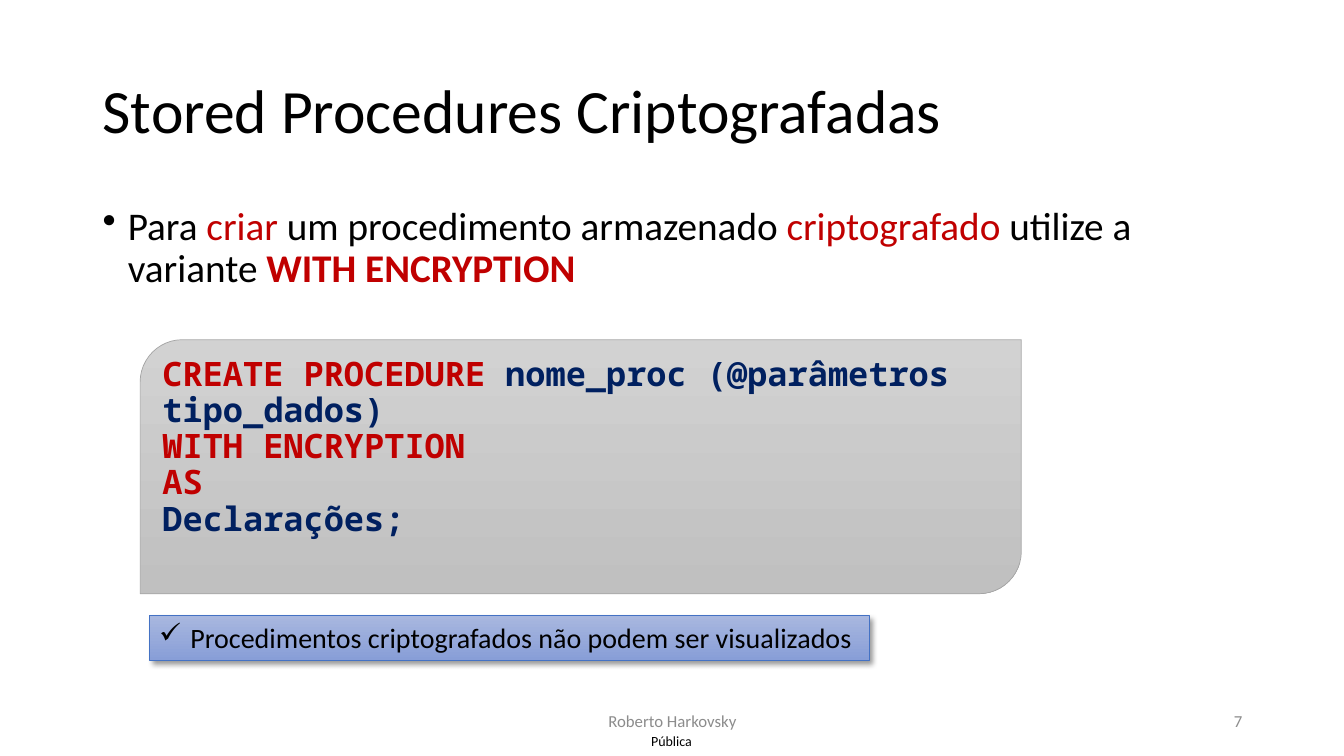
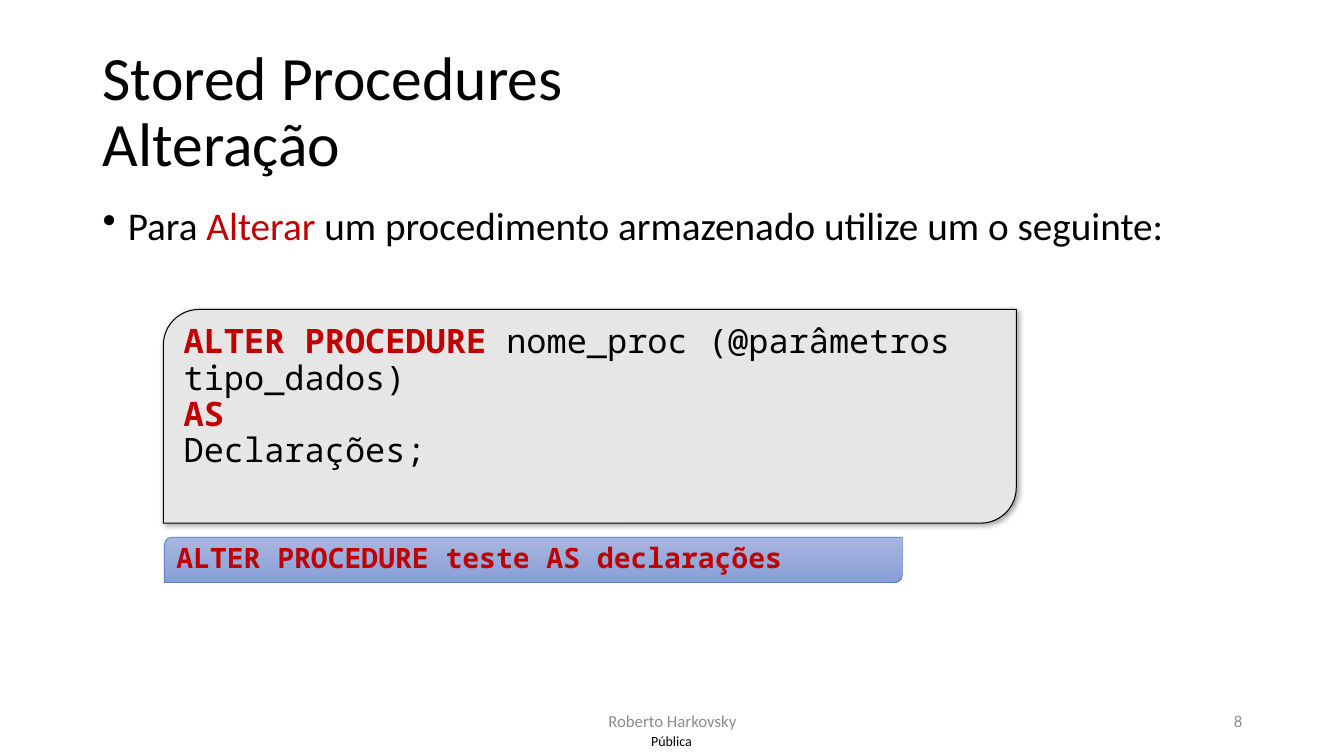
import pptx
import pptx.util
import pptx.dml.color
import pptx.enum.shapes
import pptx.enum.text
import pptx.oxml
import pptx.oxml.ns

Inches, Pt = pptx.util.Inches, pptx.util.Pt
RGBColor = pptx.dml.color.RGBColor
SHAPE = pptx.enum.shapes.MSO_SHAPE
ALIGN = pptx.enum.text.PP_ALIGN
ANCHOR = pptx.enum.text.MSO_ANCHOR

BLACK = RGBColor(0x00, 0x00, 0x00)
RED = RGBColor(0xC0, 0x00, 0x00)
NAVY = RGBColor(0x00, 0x20, 0x60)
GRAY = RGBColor(0x8C, 0x8C, 0x8C)
LIGHT_GRAY = RGBColor(0xE7, 0xE6, 0xE6)
EDGE_GRAY = RGBColor(0xA5, 0xA5, 0xA5)
EDGE_BLUE = RGBColor(0x44, 0x72, 0xC4)
GRAY_FADE = (RGBColor(0xD2, 0xD2, 0xD2), RGBColor(0xC0, 0xC0, 0xC0))
BLUE_FADE = (RGBColor(0xA8, 0xB7, 0xDF), RGBColor(0x88, 0x9E, 0xD7))

SANS, MONO = "Calibri", "Noto Sans Mono"


class Deck:
    """Holds the shared style and the slide being filled."""

    def __init__(self):
        self.prs = pptx.Presentation()
        self.prs.slide_width = Inches(13.33)
        self.prs.slide_height = Inches(7.5)
        self.s = None

    def slide(self, title, number):
        self.s = self.prs.slides.add_slide(self.prs.slide_layouts[6])
        self.text((6.31, 7.21, 0.7, 0.29), "Pública", 10, BLACK,
                  {"alignment": ALIGN.CENTER}, margin=0)
        self.text((0.92, 0.4, 11.5, 1.45), title, 44, BLACK, {"line_spacing": 0.9})
        self.text((4.42, 6.95, 4.5, 0.4), "Roberto Harkovsky", 12, GRAY,
                  {"alignment": ALIGN.CENTER})
        self.text((9.42, 6.95, 3, 0.4), str(number), 12, GRAY,
                  {"alignment": ALIGN.RIGHT})

    def box(self, at):
        return self.s.shapes.add_textbox(*map(Inches, at))

    def text(self, at, text, size, color, fmt, margin=None):
        """Add one vertically centred paragraph."""
        tf = self.box(at).text_frame
        tf.vertical_anchor = ANCHOR.MIDDLE
        if margin is not None:
            for side in ("left", "right", "top", "bottom"):
                setattr(tf, f"margin_{side}", Inches(margin))
        self.fill_text(tf, [[(text, color, False)]], SANS, size, fmt)

    def body(self, runs, height):
        tf = self.box((0.92, 2, 11.5, height)).text_frame
        self.fill_text(tf, [runs], SANS, 28,
                       {"line_spacing": 0.9, "space_before": Pt(10)}, ("•", 0.25))

    def panel(self, kind, at, fill, edge, width, shadow=None):
        """Add a filled shape; a pair of colours fades downwards."""
        sp = self.s.shapes.add_shape(kind, *map(Inches, at))
        if isinstance(fill, RGBColor):
            sp.fill.solid()
            sp.fill.fore_color.rgb = fill
        else:
            sp.fill.gradient()
            sp.fill.gradient_angle = 270
            for stop, color in zip(sp.fill.gradient_stops, fill):
                stop.color.rgb = color
        sp.line.color.rgb = edge
        sp.line.width = Pt(width)
        sp.shadow.inherit = False
        if shadow:
            effects = sp._element.spPr.find(pptx.oxml.ns.qn("a:effectLst"))
            effects.append(pptx.oxml.parse_xml(
                f'<a:outerShdw {pptx.oxml.ns.nsdecls("a")} blurRad="{Pt(4)}" '
                f'dist="{Pt(shadow)}" dir="2700000" algn="tl" rotWithShape="0">'
                '<a:srgbClr val="000000"><a:alpha val="40000"/></a:srgbClr>'
                '</a:outerShdw>'))
        sp.text_frame.vertical_anchor = ANCHOR.TOP
        return sp.text_frame

    def code(self, at, lines, size, fill, edge, width, shadow=None):
        tf = self.panel(SHAPE.ROUND_2_DIAG_RECTANGLE, at, fill, edge, width, shadow)
        self.fill_text(tf, lines, MONO, size, {"line_spacing": 0.9})

    def note(self, at, text):
        tf = self.panel(SHAPE.RECTANGLE, at, BLUE_FADE, EDGE_BLUE, 0.5, shadow=3)
        self.fill_text(tf, [[(text, BLACK, False)]], SANS, 20, {}, ("✓", 0.31))

    def fill_text(self, tf, lines, font, size, fmt, bullet=None):
        """Fill a frame with lines of (text, colour, bold) runs."""
        tf.word_wrap = True
        for i, runs in enumerate(lines):
            p = tf.add_paragraph() if i else tf.paragraphs[0]
            for name, value in {"alignment": ALIGN.LEFT, **fmt}.items():
                setattr(p, name, value)
            if bullet:
                self.bullet(p, *bullet)
            for text, color, bold in runs:
                for j, part in enumerate(text.split("\n")):
                    if j:
                        p.add_line_break()
                    r = p.add_run()
                    r.text = part
                    style = {"name": font, "size": Pt(size), "bold": bold}
                    for name, value in style.items():
                        setattr(r.font, name, value)
                    r.font.color.rgb = color

    def bullet(self, p, char, indent):
        pPr = p._p.get_or_add_pPr()
        pPr.set("marL", str(Inches(indent)))
        pPr.set("indent", str(-Inches(indent)))
        pPr.append(pptx.oxml.parse_xml(
            f'<a:buChar {pptx.oxml.ns.nsdecls("a")} char="{char}"/>'))


def main():
    deck = Deck()
    signature = "nome_proc (@parâmetros tipo_dados)"

    deck.slide("Stored Procedures Criptografadas", 7)
    deck.body([("Para ", BLACK, False), ("criar", RED, False),
               (" um procedimento armazenado ", BLACK, False),
               ("criptografado", RED, False),
               (" utilize a variante ", BLACK, False),
               ("WITH ENCRYPTION", RED, True)], 4.76)
    deck.code((1.39, 3.37, 8.74, 2.52),
              [[("CREATE PROCEDURE ", RED, True), (signature, NAVY, True)],
               [("WITH ENCRYPTION", RED, True)],
               [("AS", RED, True)],
               [("Declarações;", NAVY, True)]],
              24, GRAY_FADE, EDGE_GRAY, 0.5)
    deck.note((1.48, 6.11, 7.14, 0.44),
              "Procedimentos criptografados não podem ser visualizados")

    deck.slide("Stored Procedures\nAlteração", 8)
    deck.body([("Para ", BLACK, False), ("Alterar", RED, False),
               (" um procedimento armazenado utilize um o seguinte:", BLACK, False)],
              1.08)
    deck.code((1.62, 3.07, 8.46, 2.12),
              [[("ALTER PROCEDURE ", RED, True), (signature, BLACK, False)],
               [("AS", RED, True)],
               [("Declarações;", BLACK, False)]],
              24, LIGHT_GRAY, BLACK, 0.75, shadow=1)
    deck.code((1.63, 5.33, 7.32, 0.45),
              [[("ALTER PROCEDURE teste AS declarações", RED, True)]],
              20, BLUE_FADE, EDGE_BLUE, 0.5)

    deck.prs.save("out.pptx")


if __name__ == "__main__":
    main()
